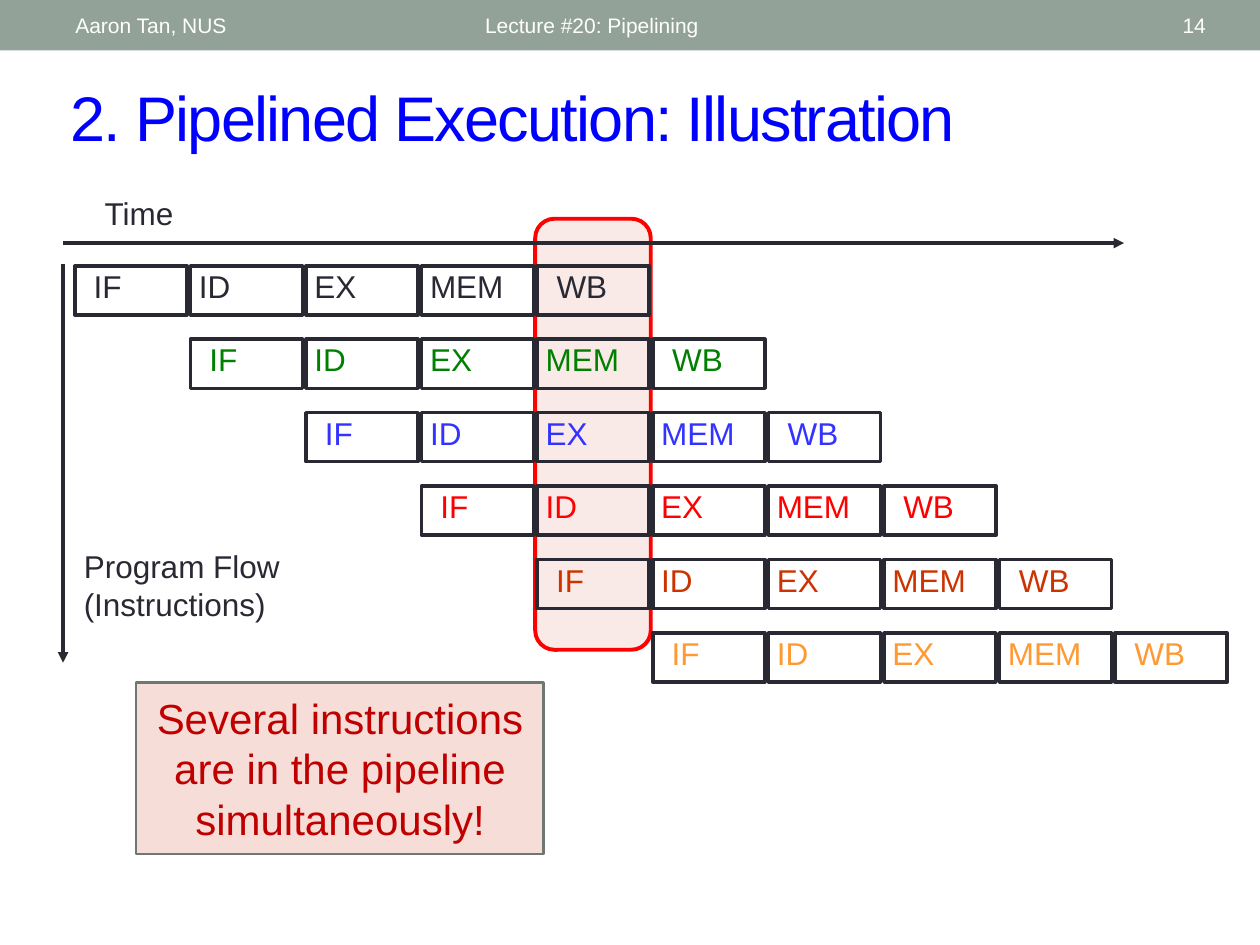
import pptx
import pptx.dml.color
import pptx.enum.shapes
import pptx.enum.text
import pptx.oxml.ns
import pptx.util
from lxml import etree
from pptx.util import Cm

SHAPES = pptx.enum.shapes.MSO_SHAPE
ALIGN = pptx.enum.text.PP_ALIGN
ANCHOR = pptx.enum.text.MSO_ANCHOR
AUTO_SIZE = pptx.enum.text.MSO_AUTO_SIZE

FONT = "Arial"
DARK = "292934"
RED = "FF0000"
WHITE = "FFFFFF"
PINK = "F6DDD8"

# Pipeline grid, in centimetres
GRID_LEFT, GRID_TOP = 1.51, 5.36
COLUMN_STEP, ROW_STEP = 2.33, 1.48
STAGE_WIDTH, STAGE_HEIGHT = 2.26, 0.99
LABEL_RISE = 0.1
LABEL_HEIGHT = 1.02

# Stage name, label offset from its box, label width
STAGES = [("IF", 0.13, 1.07), ("ID", -0.08, 1.14), ("EX", -0.08, 1.35),
          ("MEM", -0.08, 1.98), ("WB", 0.14, 1.52)]
INSTRUCTION_COLORS = [DARK, "008000", "3333FF", RED, "CC3300", "FF9933"]


def color(hex_string):
    return pptx.dml.color.RGBColor.from_string(hex_string)


def add_xml(parent, tag, **attributes):
    element = etree.SubElement(parent, pptx.oxml.ns.qn(tag))
    for name, value in attributes.items():
        element.set(name, value)
    return element


def format_paragraph(paragraph, size, hex_string, alignment=ALIGN.LEFT):
    paragraph.alignment = alignment
    paragraph.font.name = FONT
    paragraph.font.size = pptx.util.Pt(size)
    paragraph.font.color.rgb = color(hex_string)


def add_box(shapes, kind, left, top, width, height, fill=None, line=None, weight=2):
    shape = shapes.add_shape(kind, Cm(left), Cm(top), Cm(width), Cm(height))
    shape.shadow.inherit = False
    if fill:
        shape.fill.solid()
        shape.fill.fore_color.rgb = color(fill)
    else:
        shape.fill.background()
    if line:
        shape.line.color.rgb = color(line)
        shape.line.width = pptx.util.Pt(weight)
    else:
        shape.line.fill.background()
    return shape


def add_label(shapes, lines, left, top, width, height, hex_string=DARK):
    """Unwrapped 18 pt text; no right margin, so each line keeps its room."""
    label = shapes.add_textbox(Cm(left), Cm(top), Cm(width), Cm(height))
    frame = label.text_frame
    frame.word_wrap = False
    frame.margin_right = 0
    frame.auto_size = AUTO_SIZE.SHAPE_TO_FIT_TEXT
    frame.text = "\n".join(lines)
    for paragraph in frame.paragraphs:
        format_paragraph(paragraph, 18, hex_string)


def add_header_text(shapes, text, left, width, alignment=ALIGN.LEFT):
    header = shapes.add_textbox(Cm(left), Cm(0.05), Cm(width), Cm(0.91))
    frame = header.text_frame
    frame.word_wrap = True
    frame.vertical_anchor = ANCHOR.MIDDLE
    frame.text = text
    format_paragraph(frame.paragraphs[0], 12, WHITE, alignment)


def add_arrow(shapes, start_x, start_y, end_x, end_y):
    arrow = shapes.add_connector(pptx.enum.shapes.MSO_CONNECTOR.STRAIGHT,
                                 Cm(start_x), Cm(start_y), Cm(end_x), Cm(end_y))
    arrow.line.color.rgb = color(DARK)
    arrow.line.width = pptx.util.Pt(2)
    add_xml(arrow.line._get_or_add_ln(), "a:tailEnd", type="triangle")
    add_xml(arrow._element.spPr, "a:effectLst")


def add_instruction(slide, row, hex_string):
    """One instruction: five stages, starting one column later per row."""
    shapes = slide.shapes.add_group_shape().shapes
    top = GRID_TOP + row * ROW_STEP
    lefts = [GRID_LEFT + (row + index) * COLUMN_STEP for index in range(len(STAGES))]
    for left in lefts:
        add_box(shapes, SHAPES.RECTANGLE, left, top, STAGE_WIDTH, STAGE_HEIGHT, line=DARK)
    for left, (name, offset, width) in zip(lefts, STAGES):
        add_label(shapes, [name], left + offset, top - LABEL_RISE, width,
                  LABEL_HEIGHT, hex_string)


def add_title(slide, text):
    title = slide.shapes.title
    title.left, title.top, title.width, title.height = Cm(1.17), Cm(1.45), Cm(23.93), Cm(1.78)
    frame = title.text_frame
    frame.text = text
    frame.auto_size = AUTO_SIZE.NONE
    frame.vertical_anchor = ANCHOR.MIDDLE
    format_paragraph(frame.paragraphs[0], 36, "0000FF")
    frame.paragraphs[0].runs[0].font._element.set("spc", "-100")


def add_highlight(slide):
    highlight = add_box(slide.shapes, SHAPES.ROUNDED_RECTANGLE, 10.79, 4.41, 2.33, 8.69,
                        PINK, RED, 2.25)
    fill_color = highlight._element.spPr.find(".//" + pptx.oxml.ns.qn("a:srgbClr"))
    add_xml(fill_color, "a:alpha", val="60000")


def add_axes(slide):
    shapes = slide.shapes.add_group_shape().shapes
    add_arrow(shapes, 1.27, 5.33, 1.27, 13.36)
    add_label(shapes, ["Program Flow", "(Instructions)"], 1.44, 10.9, 4.45, 1.78)
    add_arrow(shapes, 1.27, 4.9, 22.66, 4.9)
    add_label(shapes, ["Time"], 1.86, 3.78, 1.91, LABEL_HEIGHT)


def add_callout(slide, text):
    callout = add_box(slide.shapes, SHAPES.RECTANGLE, 2.75, 13.76, 8.21, 3.45,
                      PINK, "6D7871", 1.25)
    frame = callout.text_frame
    frame.word_wrap = True
    frame.vertical_anchor = ANCHOR.MIDDLE
    frame.text = text
    format_paragraph(frame.paragraphs[0], 24, "C00000", ALIGN.CENTER)


def main():
    presentation = pptx.Presentation()
    presentation.slide_width, presentation.slide_height = Cm(25.4), Cm(19.05)
    slide = presentation.slides.add_slide(presentation.slide_layouts[5])

    # Header band and title
    add_box(slide.shapes, SHAPES.RECTANGLE, 0, 0, 25.4, 1.02, fill="93A299")
    add_title(slide, "2. Pipelined Execution: Illustration")
    add_header_text(slide.shapes, "Lecture #20: Pipelining", 9.53, 11.43)
    add_header_text(slide.shapes, "14", 22.15, 2.41, ALIGN.RIGHT)
    add_header_text(slide.shapes, "Aaron Tan, NUS", 1.27, 8.05)

    # Pipeline diagram
    add_highlight(slide)
    for row, hex_string in enumerate(INSTRUCTION_COLORS):
        add_instruction(slide, row, hex_string)
    add_axes(slide)

    add_callout(slide, "Several instructions are in the pipeline simultaneously!")
    presentation.save("out.pptx")


if __name__ == "__main__":
    main()
